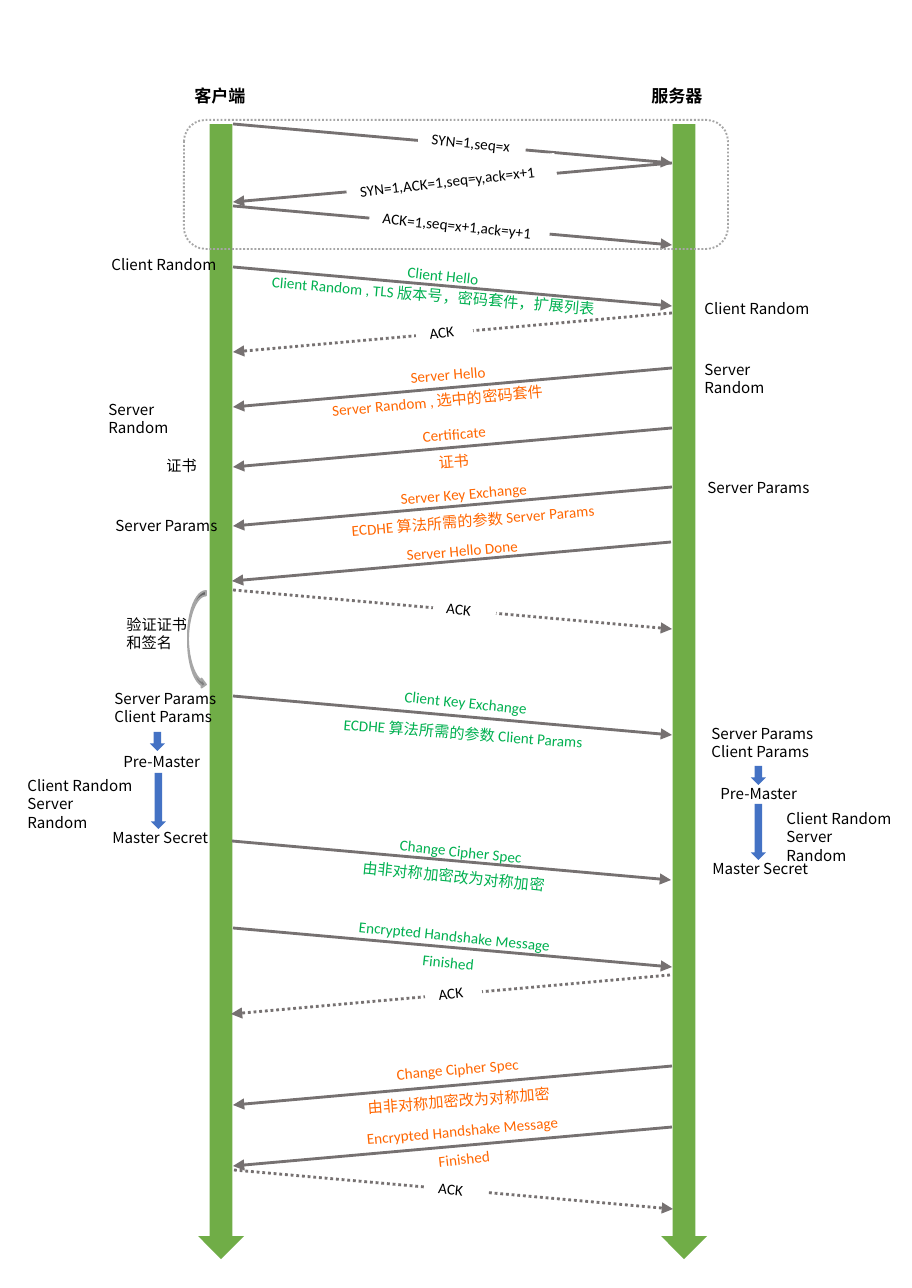
from pptx import Presentation
from pptx import util as u
from pptx.dml.color import RGBColor
from pptx.enum import dml, shapes, text
from pptx.oxml.ns import qn
from lxml import etree


class Theme:
    """Colours, fonts and sizes of the diagram."""
    black, white = "000000", "FFFFFF"
    green, orange = "00B050", "FF6600"
    bar, step, arrow = "70AD47", "4472C4", "767171"
    loop, frame = "808080", "A6A6A6"
    latin, cjk = "Calibri", "Noto Sans CJK JP"
    body, head = 8, 9
    thin, thick = 1, 1.5


class Sketch:
    """Draws styled elements on one slide, with lengths in pixels."""

    def __init__(self, prs, theme):
        self.theme = theme
        self.slide = prs.slides.add_slide(prs.slide_layouts[6])

    @staticmethod
    def px(n):
        """Turn pixels into EMU."""
        return u.Emu(round(n * 914400 / 136.3))

    def stroke(self, line, color, width, dotted=False):
        """Style a line."""
        line.color.rgb = RGBColor.from_string(color)
        line.width = u.Pt(width)
        if dotted:
            line.dash_style = dml.MSO_LINE.ROUND_DOT

    def shape(self, kind, box, fill=None, line=None, dotted=False):
        """Add a preset shape."""
        sp = self.slide.shapes.add_shape(kind, *map(self.px, box))
        sp.shadow.inherit = False
        if fill:
            sp.fill.solid()
            sp.fill.fore_color.rgb = RGBColor.from_string(fill)
        else:
            sp.fill.background()
        if line:
            self.stroke(sp.line, line, self.theme.thin, dotted)
        else:
            sp.line.fill.background()

    def arrow(self, x1, y1, x2, y2, dotted=False):
        """Add a straight arrow."""
        cn = self.slide.shapes.add_connector(
            shapes.MSO_CONNECTOR.STRAIGHT, *map(self.px, (x1, y1, x2, y2)))
        self.stroke(cn.line, self.theme.arrow, self.theme.thick, dotted)
        etree.SubElement(cn.line._get_or_add_ln(), qn("a:tailEnd"), type="triangle")
        etree.SubElement(cn._element.spPr, qn("a:effectLst"))

    def label(self, x, y, w, lines, color=Theme.black, font=Theme.latin,
              size=Theme.body, bold=False, turn=0, fill=None, h=33):
        """Add a text box with one paragraph per line."""
        sp = self.slide.shapes.add_textbox(*map(self.px, (x, y, w, h)))
        sp.rotation = turn
        if fill:
            sp.fill.solid()
            sp.fill.fore_color.rgb = RGBColor.from_string(fill)
        tf = sp.text_frame
        tf.word_wrap = True
        tf.auto_size = text.MSO_AUTO_SIZE.SHAPE_TO_FIT_TEXT
        for i, words in enumerate(lines):
            p = tf.add_paragraph() if i else tf.paragraphs[0]
            r = p.add_run()
            r.text = words
            r.font.name, r.font.size, r.font.bold = font, u.Pt(size), bold
            r.font.color.rgb = RGBColor.from_string(color)
            etree.SubElement(r._r.get_or_add_rPr(), qn("a:ea"), typeface=self.theme.cjk)


CLIENT, SERVER, DROP = 233, 672, 39
DOWN, UP = 5.9, 355.3
STEEP_UP = 353.4

TO_SERVER = [(124, 0), (206, 0), (267, 0), (590, 0), (696, 0), (841, -1), (928, 0), (1170, 1)]
TO_CLIENT = [(163, 0), (313, 0), (368, 0), (428, 0), (487, 0), (542, -1), (975, -2),
             (1066, 0), (1127, 0)]
ACKS = {313, 590, 975, 1170}

PLATES = [
    (418, 127, 108, DOWN, "SYN=1,seq=x"),
    (369, 210, 181, DOWN, "ACK=1,seq=x+1,ack=y+1"),
    (346, 165, 211, STEEP_UP, "SYN=1,ACK=1,seq=y,ack=x+1"),
    (416, 316, 57, STEEP_UP, "ACK"),
    (433, 594, 63, DOWN, "ACK"),
    (425, 977, 57, STEEP_UP, "ACK"),
    (425, 1174, 63, DOWN, "ACK"),
]
CLIENT_MESSAGES = [
    (394, 262, 142, DOWN, "Client Hello"),
    (258, 281, 390, 4.8, "Client Random , TLS 版本号，密码套件，扩展列表"),
    (391, 687, 158, DOWN, "Client Key Exchange"),
    (330, 718, 281, 4.4, "ECDHE 算法所需的参数 Client Params"),
    (386, 838, 200, DOWN, "Change Cipher Spec"),
    (349, 864, 281, 5.6, "由非对称加密改为对称加密"),
    (345, 921, 232, DOWN, "Encrypted Handshake Message"),
    (409, 947, 91, DOWN, "Finished"),
]
SERVER_MESSAGES = [
    (397, 357, 142, UP, "Server Hello"),
    (318, 378, 390, 354.7, "Server Random , 选中的密码套件"),
    (409, 416, 142, UP, "Certificate"),
    (425, 442, 142, UP, "证书"),
    (387, 477, 174, UP, "Server Key Exchange"),
    (338, 504, 281, UP, "ECDHE 算法所需的参数 Server Params"),
    (393, 533, 174, UP, "Server Hello Done"),
    (383, 1051, 200, 355.1, "Change Cipher Spec"),
    (354, 1082, 281, 355.6, "由非对称加密改为对称加密"),
    (353, 1114, 232, 354.9, "Encrypted Handshake Message"),
    (425, 1142, 91, 353.6, "Finished"),
]
PARAMS = ["Server Params", "Client Params"]
RANDOMS = ["Client Random", "Server Random"]
STATES = [
    (98, 249, RANDOMS[:1]), (691, 293, RANDOMS[:1]),
    (95, 394, RANDOMS[1:]), (691, 354, RANDOMS[1:]),
    (102, 510, PARAMS[:1]), (694, 472, PARAMS[:1]),
    (101, 683, PARAMS), (698, 718, PARAMS),
    (110, 746, ["Pre-Master"]), (707, 778, ["Pre-Master"]),
    (14, 770, RANDOMS), (773, 803, RANDOMS),
    (99, 822, ["Master Secret"]), (699, 853, ["Master Secret"]),
]
STEPS = [(150, 732, 15, 19), (751, 766, 15, 19), (151, 773, 15, 56), (751, 804, 15, 56)]


def main():
    """Build the handshake sequence diagram."""
    th = Theme()
    prs = Presentation()
    prs.slide_width, prs.slide_height = Sketch.px(912), Sketch.px(1288)
    s = Sketch(prs, th)
    kinds = shapes.MSO_SHAPE

    for x in (661, 198):
        s.shape(kinds.DOWN_ARROW, (x, 124, 46, 1135), th.bar)
    for start, end, rows in ((CLIENT, SERVER, TO_SERVER), (SERVER, CLIENT, TO_CLIENT)):
        for y, dx in rows:
            s.arrow(start + dx, y, end + dx, y + DROP, y in ACKS)

    for rows, color, fill in ((PLATES, th.black, th.white),
                              (CLIENT_MESSAGES, th.green, None),
                              (SERVER_MESSAGES, th.orange, None)):
        for x, y, w, turn, words in rows:
            s.label(x, y, w, [words], color, turn=turn, fill=fill)

    s.shape(kinds.ROUNDED_RECTANGLE, (184, 120, 544, 129), line=th.frame, dotted=True)
    s.label(113, 609, 90, ["验证证书和签名"], h=50)
    s.shape(kinds.CURVED_RIGHT_ARROW, (188, 591, 18, 98), th.loop, th.frame)
    for box in STEPS:
        s.shape(kinds.DOWN_ARROW, box, th.step)
    for x, y, lines in STATES:
        s.label(x, y, 135, lines, font=th.cjk, h=33 if len(lines) == 1 else 50)
    s.label(153, 450, 79, ["证书"], font=th.cjk)
    for x, words in ((181, "客户端"), (638, "服务器")):
        s.label(x, 79, 94, [words], font=th.cjk, size=th.head, bold=True, h=34)
    prs.save("out.pptx")


main()
